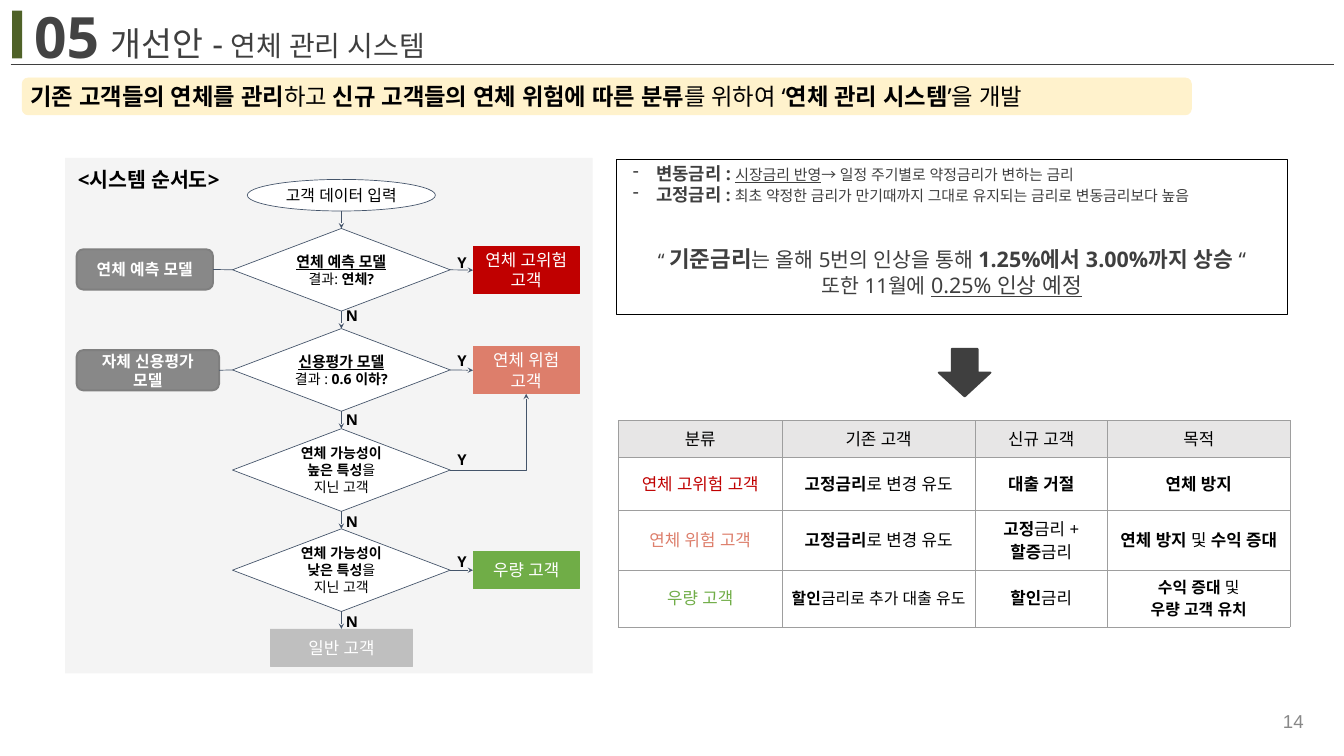
"""Build the overdue-management system slide: flowchart, rate notes and action table."""
from dataclasses import dataclass

from lxml.etree import SubElement
from pptx import Presentation
from pptx.dml.color import RGBColor
from pptx.enum.shapes import MSO_CONNECTOR as CONN, MSO_SHAPE as SHAPE
from pptx.enum.text import MSO_ANCHOR as ANCHOR, MSO_AUTO_SIZE as AUTO, PP_ALIGN as ALIGN
from pptx.oxml.ns import qn
from pptx.util import Inches, Pt


@dataclass(frozen=True)
class Theme:
    font: str = "Noto Sans"
    number_font: str = "Arial"
    black: str = "000000"
    white: str = "FFFFFF"
    dark: str = "3F3F3F"
    number: str = "434343"
    accent: str = "4F6228"
    panel: str = "F4F4F4"
    banner: str = "FFF2CC"
    flow: str = "44546A"
    model: str = "888888"
    model_line: str = "7F7F7F"
    high: str = "C00000"
    risk: str = "DD7E6B"
    good: str = "70AD47"
    normal: str = "BFBFBF"
    header: str = "E7E6E6"
    grid: str = "9E9E9E"
    section: int = 61
    title: int = 36
    subtitle: int = 30
    message: int = 25
    heading: int = 22
    page: int = 20
    body: int = 18
    node: int = 17
    label: int = 16
    detail: int = 15


T = Theme()


def write(tf, paragraphs, size, color=T.black, align=ALIGN.CENTER, anchor=ANCHOR.MIDDLE,
          pad=0.1, font=T.font):
    """Fill a text frame; a run is (text, style letters b/u, optional size)."""
    tf.word_wrap = True
    tf.auto_size = AUTO.NONE
    tf.vertical_anchor = anchor
    tf.margin_left = tf.margin_right = Inches(0.1)
    tf.margin_top = tf.margin_bottom = Inches(pad)
    for i, runs in enumerate(paragraphs):
        p = tf.add_paragraph() if i else tf.paragraphs[0]
        p.alignment = align
        for text, style, *own in runs:
            r = p.add_run()
            r.text = text
            r.font.size = Pt(own[0] if own else size)
            r.font.bold = "b" in style
            r.font.underline = "u" in style
            r.font.color.rgb = RGBColor.from_string(color)
            r.font.name = font
            SubElement(r._r.get_or_add_rPr(), qn("a:ea"), typeface=font)


def box(kind, at, fill=None, line=None, width=0.75):
    """Add a flat preset shape at (left, top, width, height) in inches."""
    sp = s.shapes.add_shape(kind, *map(Inches, at))
    sp.shadow.inherit = False
    if fill:
        sp.fill.solid()
        sp.fill.fore_color.rgb = RGBColor.from_string(fill)
    else:
        sp.fill.background()
    if line:
        sp.line.color.rgb = RGBColor.from_string(line)
        sp.line.width = Pt(width)
    else:
        sp.line.fill.background()
    return sp


prs = Presentation()
prs.slide_width, prs.slide_height = Inches(20), Inches(11.25)
s = prs.slides.add_slide(prs.slide_layouts[5])

title = s.shapes.title
title.left, title.top, title.width, title.height = map(Inches, (1.42, 0.29, 6.92, 0.71))
write(title.text_frame, [[("개선안 -", ""), (" 연체 관리 시스템", "", T.subtitle)]],
      T.title, T.dark, ALIGN.LEFT, ANCHOR.TOP, 0.05)
title.text_frame.margin_left = Inches(0.23)

box(SHAPE.RECTANGLE, (0.97, 2.35, 7.85, 7.67), T.panel)
box(SHAPE.RECTANGLE, (0.18, 0.16, 0.15, 0.71), T.accent)
banner = box(SHAPE.ROUNDED_RECTANGLE, (0.33, 1.16, 17.4, 0.55), T.banner, T.banner)
write(banner.text_frame, [[
    ("기존 고객들의 연체를 관리", "b"), ("하고 ", ""),
    ("신규 고객들의 연체 위험에 따른 분류", "b"), ("를 위하여 ‘", ""),
    ("연체 관리 시스템", "b"), ("’을 개발", "")]], T.message, align=ALIGN.LEFT)

center, first, pitch = 5.08, 3.4, 1.49
entry = box(SHAPE.OVAL, (3.68, 2.67, 2.8, 0.47), T.white, T.flow)
write(entry.text_frame, [[("고객 데이터 입력", "")]], T.node)

questions = [
    [("연체 예측 모델", "bu", T.label), (" 결과: ", ""), ("연체?", "b")],
    [("신용평가 모델 ", "bu", T.label), ("결과 : ", ""), ("0.6 이하?", "b")],
    [("연체 가능성이 높은 특성", "b"), ("을 지닌 고객", "")],
    [("연체 가능성이 낮은 특성", "b"), ("을 지닌 고객", "")],
]
checks = []
for i, runs in enumerate(questions):
    sp = box(SHAPE.DIAMOND, (3.46, first + i * pitch, 3.24, 1.23), T.white, T.flow)
    write(sp.text_frame, [runs], T.detail)
    checks.append(sp)

outcomes = []
for text, left, top, width, height, color in [
        ("연체 고위험 고객", 7.04, 3.67, 1.58, 0.7, T.high),
        ("연체 위험 고객", 7.04, 5.16, 1.58, 0.7, T.risk),
        ("우량 고객", 7.04, 8.21, 1.58, 0.55, T.good),
        ("일반 고객", 4.02, first + 4 * pitch, 2.12, 0.55, T.normal)]:
    sp = box(SHAPE.RECTANGLE, (left, top, width, height), color, color)
    write(sp.text_frame, [[(text, "")]], T.body, T.white)
    outcomes.append(sp)
high, risk, good, normal = outcomes

models = []
for text, top, width in [("연체 예측 모델", 3.71, 2.03), ("자체 신용평가 모델", 5.21, 2.12)]:
    sp = box(SHAPE.ROUNDED_RECTANGLE, (1.14, top, width, 0.6), T.model, T.model_line, 2)
    write(sp.text_frame, [[(text, "b")]], T.node, T.white, pad=0.05)
    models.append(sp)

links = [(a, 3, b, 1, False) for a, b in zip(models, checks)]
links += [(a, 2, b, 0, True) for a, b in zip([entry] + checks, checks + [normal])]
links += [(checks[0], 3, high, 1, True), (checks[1], 3, risk, 1, True),
          (checks[2], 3, risk, 2, True), (checks[3], 3, good, 1, True)]
connectors = []
for start, out, end, into, arrow in links:
    elbow = out == 3 and into == 2
    c = s.shapes.add_connector(CONN.ELBOW if elbow else CONN.STRAIGHT, Inches(center),
                               entry.top + entry.height, Inches(center), Inches(first))
    if start is not entry:
        c.begin_connect(start, out)
    c.end_connect(end, into)
    if elbow:
        c._element.spPr.find(qn("a:prstGeom")).set("prst", "bentConnector2")
    connectors.append((c, T.flow, arrow))
rule = s.shapes.add_connector(CONN.STRAIGHT, *map(Inches, (0.16, 0.96, 19.85, 0.96)))
connectors.append((rule, T.dark, False))
for c, color, arrow in connectors:
    c.line.color.rgb = RGBColor.from_string(color)
    c.line.width = Pt(0.75)
    if arrow:
        SubElement(c.line._get_or_add_ln(), qn("a:tailEnd"), type="stealth")
    SubElement(c._element.spPr, qn("a:effectLst"))

texts = [("Y", 6.71, y, 0.44, 0.37, T.label) for y in (3.72, 5.19, 6.66, 8.18)]
texts += [("N", 5.05, y, 0.44, 0.37, T.label) for y in (4.51, 6.06, 7.58, 9.06)]
texts += [("<시스템 순서도>", 1.06, 2.43, 2.96, 0.47, T.heading)]
for text, left, top, width, height, size in texts:
    tb = s.shapes.add_textbox(*map(Inches, (left, top, width, height)))
    write(tb.text_frame, [[(text, "b")]], size, T.black, ALIGN.LEFT, ANCHOR.TOP, 0.05)
tb = s.shapes.add_textbox(*map(Inches, (0.41, -0.03, 3.08, 1.13)))
write(tb.text_frame, [[("05", "b")]], T.section, T.number, ALIGN.LEFT, ANCHOR.TOP, 0.05)
tb = s.shapes.add_textbox(*map(Inches, (15, 10.43, 4.5, 0.6)))
write(tb.text_frame, [[("14", "")]], T.page, T.model, ALIGN.RIGHT, pad=0.05, font=T.number_font)

notes = box(SHAPE.RECTANGLE, (9.17, 2.37, 9.99, 2.31), line=T.black)
write(notes.text_frame, [
    [("변동금리 :", "b", 19), (" ", "b", 18), ("시장금리 반영", "u", 16),
     ("→ 일정 주기별로 약정금리가 변하는 금리", "", 16)],
    [("고정금리", "b", 19), (" : ", "b", 18),
     ("최초 약정한 금리가 만기때까지 그대로 유지되는 금리로 변동금리보다 높음", "", 16)],
    [("“ ", "", 20), ("기준금리", "b", 24), ("는 올해 5번의 인상을 통해 ", ""),
     ("1.25%에서 3.00%까지 상승", "b", 23), (" “", "")],
    [("또한 11월에 ", ""), ("0.25% 인상 예정", "u", 23)],
], T.heading, T.dark, anchor=ANCHOR.TOP, pad=0.05)
for p in notes.text_frame.paragraphs[:2]:
    p.alignment = ALIGN.LEFT
    pPr = p._p.get_or_add_pPr()
    pPr.set("marL", str(Inches(0.5)))
    pPr.set("indent", str(Inches(-0.35)))
    SubElement(SubElement(pPr, qn("a:buClr")), qn("a:srgbClr"), val=T.dark)
    SubElement(pPr, qn("a:buChar"), char="-")
notes.text_frame.paragraphs[2].space_before = Pt(43)
box(SHAPE.DOWN_ARROW, (13.97, 5.19, 0.77, 0.71), T.dark, T.dark, 2)

switch = [[("고정금리", "b"), ("로 변경 유도", "")]]
rows = [
    [[[(name, "")]] for name in ("분류", "기존 고객", "신규 고객", "목적")],
    [[[("연체 고위험 고객", "")]], switch, [[("대출 거절", "b")]], [[("연체 방지", "b")]]],
    [[[("연체 위험 고객", "")]], switch,
     [[("고정", "b"), ("금리 + ", ""), ("할증", "b"), ("금리", "")]],
     [[("연체 방지 ", "b"), ("및 ", ""), ("수익 증대", "b")]]],
    [[[("우량 고객", "")]], [[("할인", "b", 17), ("금리로 추가 대출 유도", "", 17)]],
     [[("할인", "b"), ("금리", "")]],
     [[("수익 증대 ", "b", 17), ("및", "", 17)], [("우량 고객 유치", "b", 17)]]],
]
table = s.shapes.add_table(4, 4, *map(Inches, (9.2, 6.26, 10, 2.87))).table
table.first_row = table.horz_banding = False
for column, width in zip(table.columns, (2.44, 2.87, 1.97, 2.72)):
    column.width = Inches(width)
for row, height, cells, name_color in zip(table.rows, (0.5, 0.8, 0.8, 0.77), rows,
                                          (T.black, T.high, T.risk, T.good)):
    row.height = Inches(height)
    for j, (cell, paragraphs) in enumerate(zip(row.cells, cells)):
        write(cell.text_frame, paragraphs, T.body, T.black if j else name_color)
        cell.vertical_anchor = ANCHOR.MIDDLE
        cell.margin_left = cell.margin_right = cell.margin_top = cell.margin_bottom = Inches(0.1)
        tcPr = cell._tc.get_or_add_tcPr()
        for side in ("a:lnL", "a:lnR", "a:lnT", "a:lnB"):
            ln = SubElement(tcPr, qn(side), w=str(Pt(0.75)))
            SubElement(SubElement(ln, qn("a:solidFill")), qn("a:srgbClr"), val=T.grid)
        cell.fill.solid()
        cell.fill.fore_color.rgb = RGBColor.from_string(T.header if cells is rows[0] else T.white)

prs.save("out.pptx")
